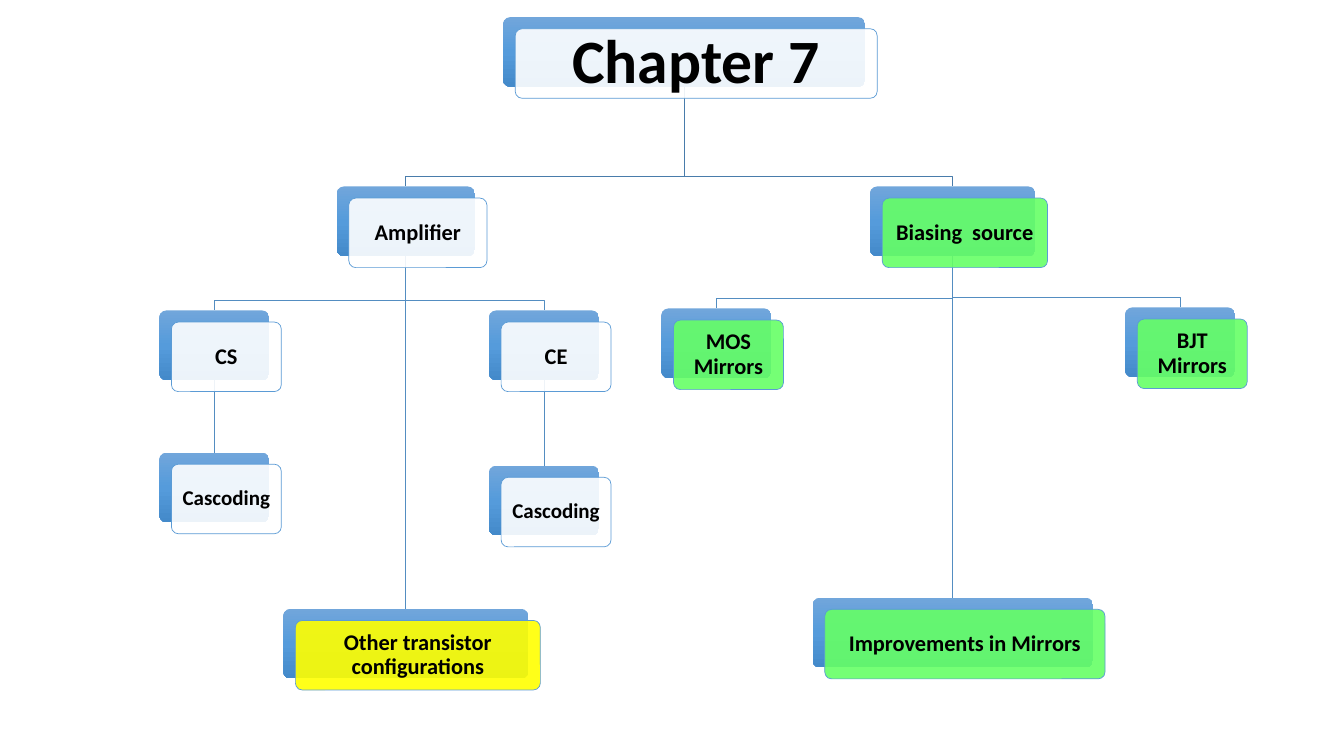
"""Build the Chapter 7 hierarchy slide: amplifier and biasing-source topics."""
from copy import deepcopy

from lxml import etree
from pptx import Presentation
from pptx.dml.color import RGBColor
from pptx.enum.shapes import MSO_CONNECTOR, MSO_SHAPE
from pptx.enum.text import MSO_ANCHOR, PP_ALIGN
from pptx.oxml.ns import qn
from pptx.util import Inches, Pt

COLORS = {"white": "FFFFFF", "yellow": "FFFF00", "green": "66FF66", "black": "000000",
          "border": "5B9BD5", "top_line": "497CAB", "line": "538DC1",
          "light": "71A6DB", "middle": "559BDB", "dark": "448ACA"}
HEIGHT, SHIFT_X, SHIFT_Y, BEND = 0.69, 0.12, 0.115, 0.1

# text, parent index, left, top, width, fill, font size, inset
NODES = [
    ("Chapter 7", None, 4.99, 0.17, 3.59, "white", 44, 0.18),
    ("Amplifier", 0, 3.34, 1.85, 1.37, "white", 16, 0.07),
    ("CS", 1, 1.58, 3.08, 1.09, "white", 16, 0.07),
    ("Cascoding", 2, 1.58, 4.49, 1.09, "white", 15, 0.06),
    ("CE", 1, 4.85, 3.08, 1.09, "white", 16, 0.07),
    ("Cascoding", 4, 4.85, 4.62, 1.09, "white", 15, 0.06),
    ("Other transistor configurations", 1, 2.81, 6.04, 2.43, "yellow", 16, 0.07),
    ("Biasing  source", 0, 8.63, 1.85, 1.64, "green", 16, 0.07),
    ("MOS Mirrors", 7, 6.56, 3.06, 1.09, "green", 16, 0.07),
    ("Improvements in Mirrors", 7, 8.06, 5.93, 2.78, "green", 16, 0.07),
    ("BJT Mirrors", 7, 11.16, 3.05, 1.09, "green", 16, 0.07),
]


def rgb(name):
    return RGBColor.from_string(COLORS[name])


def add_box(left, top, width):
    s = shapes.add_shape(MSO_SHAPE.ROUNDED_RECTANGLE, Inches(left), Inches(top),
                         Inches(width), Inches(HEIGHT))
    s.adjustments[0] = 0.1
    s.shadow.inherit = False
    return s


prs = Presentation()
prs.slide_width, prs.slide_height = Inches(13.33), Inches(7.5)
shapes = prs.slides.add_slide(prs.slide_layouts[6]).shapes

straight = []
for i, (text, parent, left, top, width, *style) in enumerate(NODES):
    if parent is None:
        continue
    _, _, parent_left, parent_top, parent_width, *_ = NODES[parent]
    x1, y1 = Inches(parent_left + parent_width / 2), Inches(parent_top + HEIGHT)
    x2, y2 = Inches(left + width / 2), Inches(top)
    if abs(x1 - x2) < Inches(0.01):
        line = shapes.add_connector(MSO_CONNECTOR.STRAIGHT, x1, y1, x2, y2)
        etree.SubElement(line._element.spPr, qn("a:effectLst"))
        straight.append((line, parent, i))
    else:
        bend_y = y2 - Inches(BEND)
        path = shapes.build_freeform(x1, y1)
        path.add_line_segments([(x1, bend_y), (x2, bend_y), (x2, y2)], close=False)
        line = path.convert_to_shape()
        line.fill.background()
        line.shadow.inherit = False
    line.line.color.rgb = rgb("top_line" if parent == 0 else "line")
    line.line.width = Pt(0.5)

backs = []
for text, parent, left, top, width, color, size, inset in NODES:
    back = add_box(left, top, width)
    back.line.fill.background()
    back.fill.gradient()
    back.fill.gradient_angle = 270
    gs_list = back._element.spPr.find(".//" + qn("a:gsLst"))
    gs_list.append(deepcopy(gs_list[-1]))
    for n, (stop, name) in enumerate(zip(back.fill.gradient_stops, ("light", "middle", "dark"))):
        stop.position = n / 2
        stop.color.rgb = rgb(name)
    backs.append(back)

    s = add_box(left + SHIFT_X, top + SHIFT_Y, width)
    s.fill.solid()
    s.fill.fore_color.rgb = rgb(color)
    fill = s._element.spPr.find(qn("a:solidFill"))
    etree.SubElement(fill[0], qn("a:alpha"), val="90000")
    s.line.color.rgb = rgb("border")
    s.line.width = Pt(0.5)

    tf = s.text_frame
    tf.word_wrap = True
    tf.vertical_anchor = MSO_ANCHOR.MIDDLE
    tf.margin_left = tf.margin_right = tf.margin_top = tf.margin_bottom = Inches(inset)
    p = tf.paragraphs[0]
    p.text = text
    p.alignment = PP_ALIGN.CENTER
    p.line_spacing = 0.9
    p.font.name = "Calibri"
    p.font.size = Pt(size)
    p.font.bold = True
    p.font.color.rgb = rgb("black")

for line, parent, child in straight:
    line.begin_connect(backs[parent], 2)
    line.end_connect(backs[child], 0)

prs.save("out.pptx")
